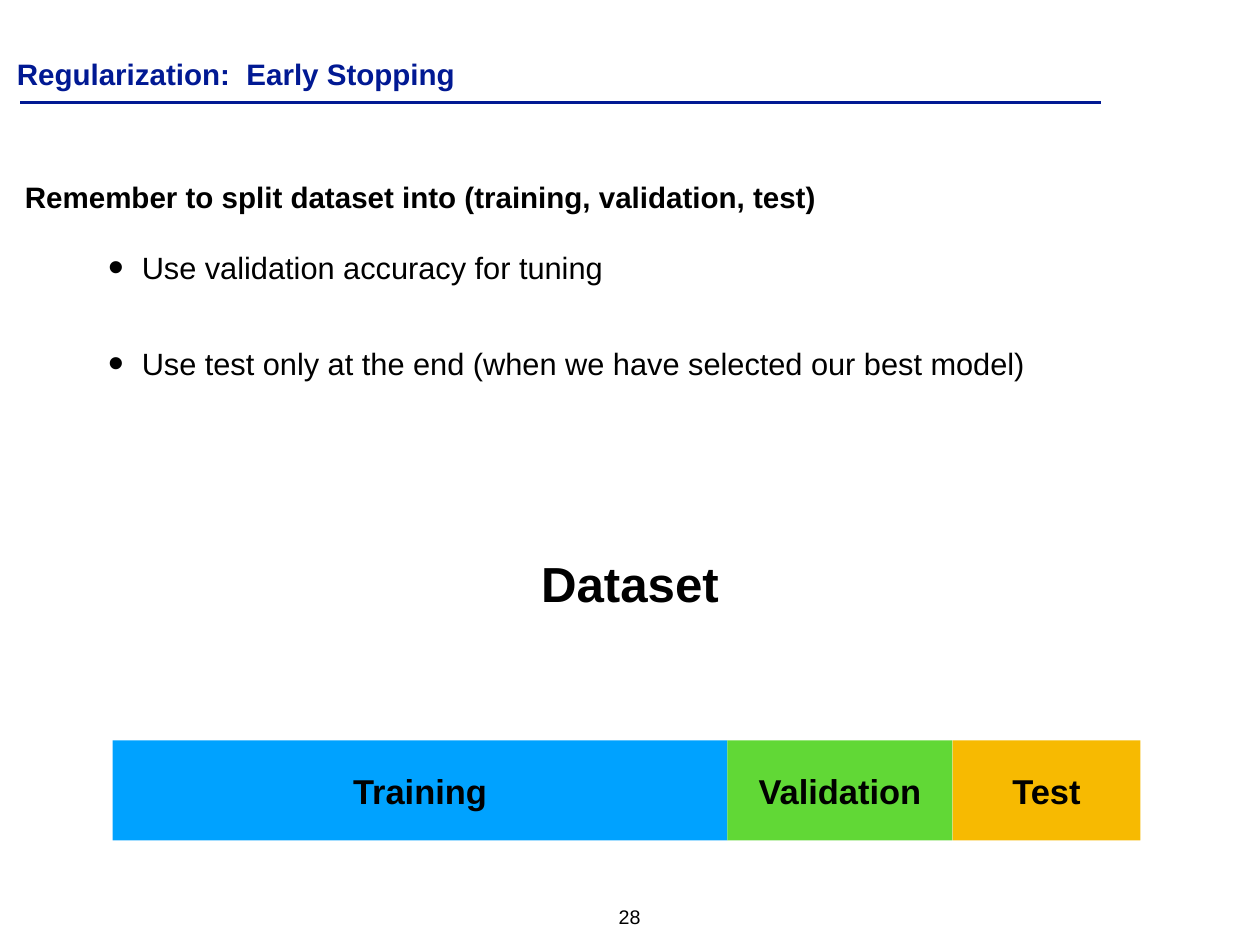
from lxml import etree
from pptx import Presentation
from pptx.dml.color import RGBColor
from pptx.enum.shapes import MSO_CONNECTOR as Connector, MSO_SHAPE as Shape
from pptx.enum.text import MSO_ANCHOR as Anchor, PP_ALIGN as Align
from pptx.oxml.ns import qn
from pptx.util import Inches, Pt

COLORS = {
    "navy": "011993",
    "black": "000000",
    "training": "00A2FF",
    "validation": "61D836",
    "test": "F7BA01",
}
FONT = "Arial"
INSET = 0.06


def color(name):
    return RGBColor.from_string(COLORS[name])


def set_frame(shape, anchor=Anchor.MIDDLE, wrap=True):
    frame = shape.text_frame
    frame.word_wrap = wrap
    frame.vertical_anchor = anchor
    frame.margin_left = frame.margin_right = Inches(INSET)
    frame.margin_top = frame.margin_bottom = Inches(INSET)
    return frame


def add_span(para, text, size, bold=False, ink="black"):
    span = para.add_run()
    span.text = text
    span.font.name = FONT
    span.font.size = Pt(size)
    span.font.bold = bold
    span.font.color.rgb = color(ink)


def add_label(page, box, text, size, align=Align.LEFT, bold=True, ink="black"):
    label = page.shapes.add_textbox(*map(Inches, box))
    para = set_frame(label, wrap=False).paragraphs[0]
    para.alignment = align
    add_span(para, text, size, bold, ink)


def add_bullet(para, indent, hanging):
    props = para._p.get_or_add_pPr()
    props.set("marL", str(Inches(indent)))
    props.set("indent", str(-Inches(hanging)))
    etree.SubElement(props, qn("a:buSzPct")).set("val", "145000")
    etree.SubElement(props, qn("a:buFont")).set("typeface", FONT)
    etree.SubElement(props, qn("a:buChar")).set("char", "•")


def add_title(page, box):
    left, top, width, height = box
    add_label(page, (left, top, 5.11, 0.5), "Regularization:  Early Stopping", 24, ink="navy")
    # Rule under the title
    start, level = left + 0.1, top + height
    rule = page.shapes.add_connector(
        Connector.STRAIGHT, *map(Inches, (start, level, left + width, level)))
    rule.line.color.rgb = color("navy")
    rule.line.width = Pt(2)
    etree.SubElement(rule._element.spPr, qn("a:effectLst"))


def add_advice(page, box, heading, points):
    left, top, width, height = box
    add_label(page, (left, top, 9.05, 0.5), heading, 24)
    # Bullet list below the heading
    area = (left + 0.45, top + 0.28, width - 0.45, height - 0.28)
    points_box = page.shapes.add_textbox(*map(Inches, area))
    frame = set_frame(points_box, Anchor.TOP)
    for index, point in enumerate(points):
        para = frame.add_paragraph() if index else frame.paragraphs[0]
        para.line_spacing = Pt(66)
        para.space_before = Pt(12 if index else 0)
        add_bullet(para, 0.87, 0.38)
        add_span(para, point, 25)


def add_split_bar(page, box, parts):
    left, top, width, height = box
    total = sum(share for _, share, _ in parts)
    for name, share, fill in parts:
        part_width = width * share / total
        part = page.shapes.add_shape(
            Shape.RECTANGLE, *map(Inches, (left, top, part_width, height)))
        part.shadow.inherit = False
        part.fill.solid()
        part.fill.fore_color.rgb = color(fill)
        part.line.fill.background()
        para = set_frame(part).paragraphs[0]
        para.alignment = Align.CENTER
        add_span(para, name, 28, bold=True)
        left += part_width


def main():
    deck = Presentation()
    deck.slide_width, deck.slide_height = Inches(14.22), Inches(10.67)
    page = deck.slides.add_slide(deck.slide_layouts[6])

    add_title(page, (0.13, 0.58, 12.3, 0.58))
    add_advice(
        page, (0.22, 1.97, 13.03, 2.5),
        "Remember to split dataset into (training, validation, test)",
        ["Use validation accuracy for tuning",
         "Use test only at the end (when we have selected our best model)"])

    # Dataset and its three parts
    add_label(page, (1.31, 5.84, 11.6, 1.48), "Dataset", 40, Align.CENTER)
    add_split_bar(page, (1.27, 8.36, 11.6, 1.13), [
        ("Training", 6.94, "training"),
        ("Validation", 2.54, "validation"),
        ("Test", 2.12, "test"),
    ])

    # Page number
    add_label(page, (6.92, 10.17, 0.37, 0.35), "28", 16, Align.CENTER, bold=False)
    deck.save("out.pptx")


if __name__ == "__main__":
    main()
